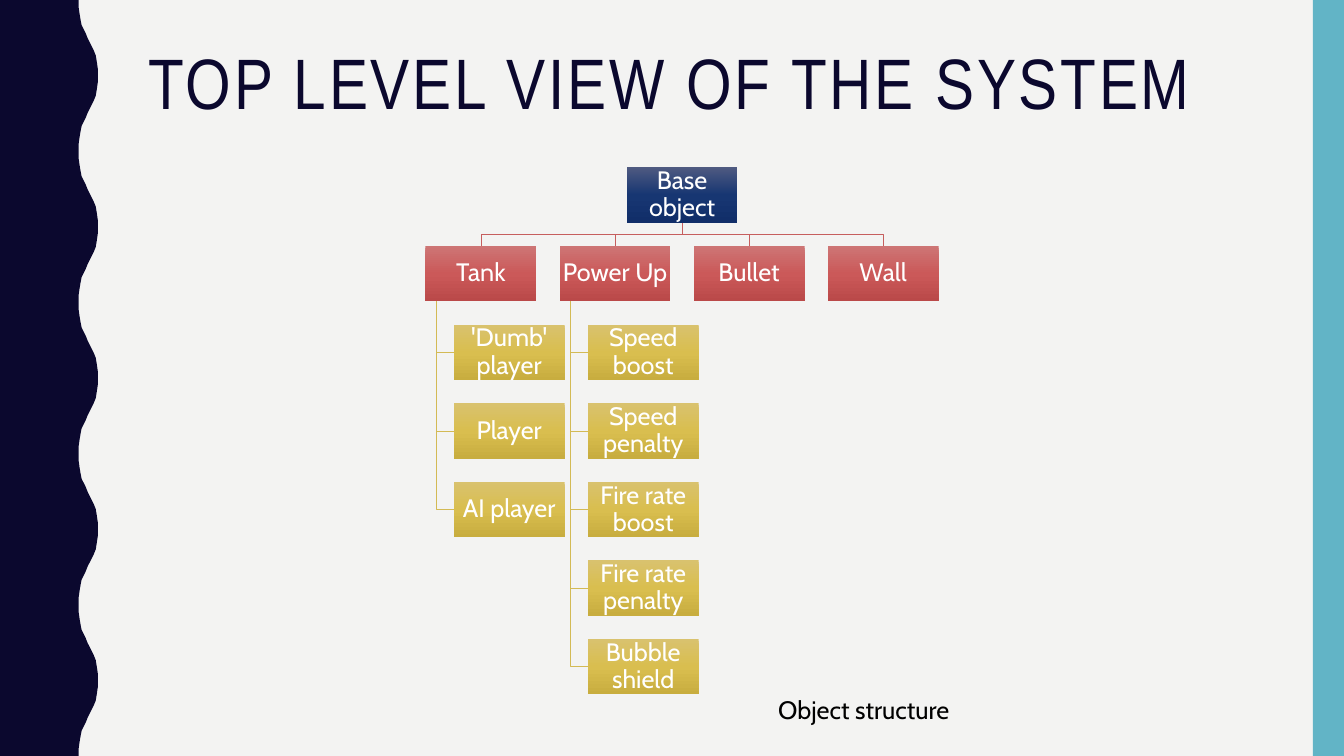
"""Build the slide showing the object structure of the system."""
from copy import deepcopy

from pptx import Presentation
from pptx.dml.color import RGBColor
from pptx.enum.shapes import MSO_SHAPE as Shape
from pptx.enum.text import MSO_ANCHOR as Anchor, MSO_AUTO_SIZE as AutoSize, PP_ALIGN as Align
from pptx.oxml.ns import qn
from pptx.util import Inches, Pt

TITLE = "TOP LEVEL VIEW OF THE SYSTEM"
CAPTION = "Object structure"
ROOT = "Base object"
BRANCHES = [
    ("Tank", ["'Dumb' player", "Player", "AI player"]),
    ("Power Up", ["Speed boost", "Speed penalty", "Fire rate boost",
                  "Fire rate penalty", "Bubble shield"]),
    ("Bullet", []),
    ("Wall", []),
]
HALF_WAVE = [(0.78, 0), (0.78, 0.07), (0.79, 0.14), (0.8, 0.2), (0.81, 0.25),
             (0.83, 0.29), (0.85, 0.33), (0.87, 0.38), (0.89, 0.42), (0.91, 0.46),
             (0.93, 0.5), (0.95, 0.55), (0.96, 0.61), (0.97, 0.68), (0.97, 0.75)]

NAVY = RGBColor(0x0B, 0x08, 0x2E)
TEAL = RGBColor(0x62, 0xB4, 0xC6)
PAPER = RGBColor(0xF3, 0xF3, 0xF2)
WHITE = RGBColor(0xFF, 0xFF, 0xFF)
BLACK = RGBColor(0, 0, 0)
RED_LINE = RGBColor(0xC6, 0x5E, 0x5E)
GOLD_LINE = RGBColor(0xD3, 0xBA, 0x55)
BLUES = [RGBColor(0x4F, 0x5A, 0x81), RGBColor(0x17, 0x36, 0x72), RGBColor(0x11, 0x2E, 0x69)]
REDS = [RGBColor(0xCD, 0x75, 0x75), RGBColor(0xCB, 0x59, 0x59), RGBColor(0xBA, 0x49, 0x49)]
GOLDS = [RGBColor(0xD9, 0xC2, 0x6E), RGBColor(0xD9, 0xBE, 0x4F), RGBColor(0xC8, 0xAD, 0x3F)]

WIDTH, HEIGHT = 13.33, 7.5
BOX_W, BOX_H = 1.1, 0.55
LEFT, TOP = 4.22, 1.66
COLUMN_STEP, ROW_STEP = 1.33, 0.78
STEM, LEAF_INDENT = 0.11, 0.28
WAVE_PERIOD = 1.5


def add_text(paragraph, text, size, font, color):
    run = paragraph.add_run()
    run.text = text
    run.font.size = Pt(size)
    run.font.name = font
    run.font.color.rgb = color
    return run


def add_outline(slide, points, close):
    corners = [(Inches(x), Inches(y)) for x, y in points]
    builder = slide.shapes.build_freeform(*corners[0])
    builder.add_line_segments(corners[1:], close=close)
    outline = builder.convert_to_shape()
    outline.shadow.inherit = False
    return outline


def add_wave(slide):
    period = HALF_WAVE + [(x, WAVE_PERIOD - y) for x, y in HALF_WAVE[-2:0:-1]]
    edge = [(x, y + WAVE_PERIOD * turn)
            for turn in range(round(HEIGHT / WAVE_PERIOD)) for x, y in period]
    wave = add_outline(slide, [(0, 0), *edge, (HALF_WAVE[0][0], HEIGHT), (0, HEIGHT)], True)
    wave.fill.solid()
    wave.fill.fore_color.rgb = NAVY
    wave.line.fill.background()


def add_link(slide, points, color):
    link = add_outline(slide, points, False)
    link.fill.background()
    link.line.color.rgb = color
    link.line.width = Pt(0.5)


def add_box(slide, label, left, top, shades):
    box = slide.shapes.add_shape(
        Shape.RECTANGLE, Inches(left), Inches(top), Inches(BOX_W), Inches(BOX_H))
    box.shadow.inherit = False
    box.line.fill.background()
    box.fill.gradient()
    box.fill.gradient_angle = 270
    stops = box.element.spPr.find(".//" + qn("a:gsLst"))
    stops.append(deepcopy(stops[0]))
    for stop, shade, position in zip(box.fill.gradient_stops, shades, (0, 0.5, 1)):
        stop.color.rgb = shade
        stop.position = position
    frame = box.text_frame
    frame.word_wrap = True
    frame.vertical_anchor = Anchor.MIDDLE
    frame.margin_left = frame.margin_right = Inches(0.01)
    frame.margin_top = frame.margin_bottom = Inches(0.01)
    paragraph = frame.paragraphs[0]
    paragraph.alignment = Align.CENTER
    paragraph.line_spacing = 0.9
    add_text(paragraph, label, 18, "Cabin", WHITE)


def add_tree(slide):
    root_left = LEFT + COLUMN_STEP * (len(BRANCHES) - 1) / 2
    root_x, root_bottom = root_left + BOX_W / 2, TOP + BOX_H
    branch_top = TOP + ROW_STEP
    middle = (root_bottom + branch_top) / 2
    boxes = [(ROOT, root_left, TOP, BLUES)]
    for column, (branch, leaves) in enumerate(BRANCHES):
        left = LEFT + COLUMN_STEP * column
        branch_x, stem_x, leaf_left = left + BOX_W / 2, left + STEM, left + LEAF_INDENT
        add_link(slide, [(root_x, root_bottom), (root_x, middle),
                         (branch_x, middle), (branch_x, branch_top)], RED_LINE)
        boxes.append((branch, left, branch_top, REDS))
        for row, leaf in enumerate(leaves, 1):
            leaf_top = branch_top + ROW_STEP * row
            leaf_y = leaf_top + BOX_H / 2
            add_link(slide, [(stem_x, branch_top + BOX_H), (stem_x, leaf_y),
                             (leaf_left, leaf_y)], GOLD_LINE)
            boxes.append((leaf, leaf_left, leaf_top, GOLDS))
    for box in boxes:
        add_box(slide, *box)


def add_title(slide):
    title = slide.shapes.title
    title.left, title.top = Inches(1.37), Inches(0.42)
    title.width, title.height = Inches(11.13), Inches(1.63)
    frame = title.text_frame
    frame.auto_size = AutoSize.NONE
    frame.vertical_anchor = Anchor.TOP
    paragraph = frame.paragraphs[0]
    paragraph.alignment = Align.LEFT
    paragraph.line_spacing = 0.9
    run = add_text(paragraph, TITLE, 51, "Arial Narrow", NAVY)
    run.font._element.set("spc", "200")


def add_caption(slide):
    caption = slide.shapes.add_textbox(Inches(7.62), Inches(6.84), Inches(1.92), Inches(0.4))
    caption.text_frame.word_wrap = False
    caption.text_frame.auto_size = AutoSize.SHAPE_TO_FIT_TEXT
    add_text(caption.text_frame.paragraphs[0], CAPTION, 18, "Cabin", BLACK)


def main():
    deck = Presentation()
    deck.slide_width, deck.slide_height = Inches(WIDTH), Inches(HEIGHT)
    slide = deck.slides.add_slide(deck.slide_layouts[5])
    slide.background.fill.solid()
    slide.background.fill.fore_color.rgb = PAPER
    add_wave(slide)
    band = slide.shapes.add_shape(
        Shape.RECTANGLE, Inches(13.02), 0, Inches(0.31), Inches(HEIGHT))
    band.shadow.inherit = False
    band.fill.solid()
    band.fill.fore_color.rgb = TEAL
    band.line.fill.background()
    add_title(slide)
    add_tree(slide)
    add_caption(slide)
    deck.save("out.pptx")


if __name__ == "__main__":
    main()
